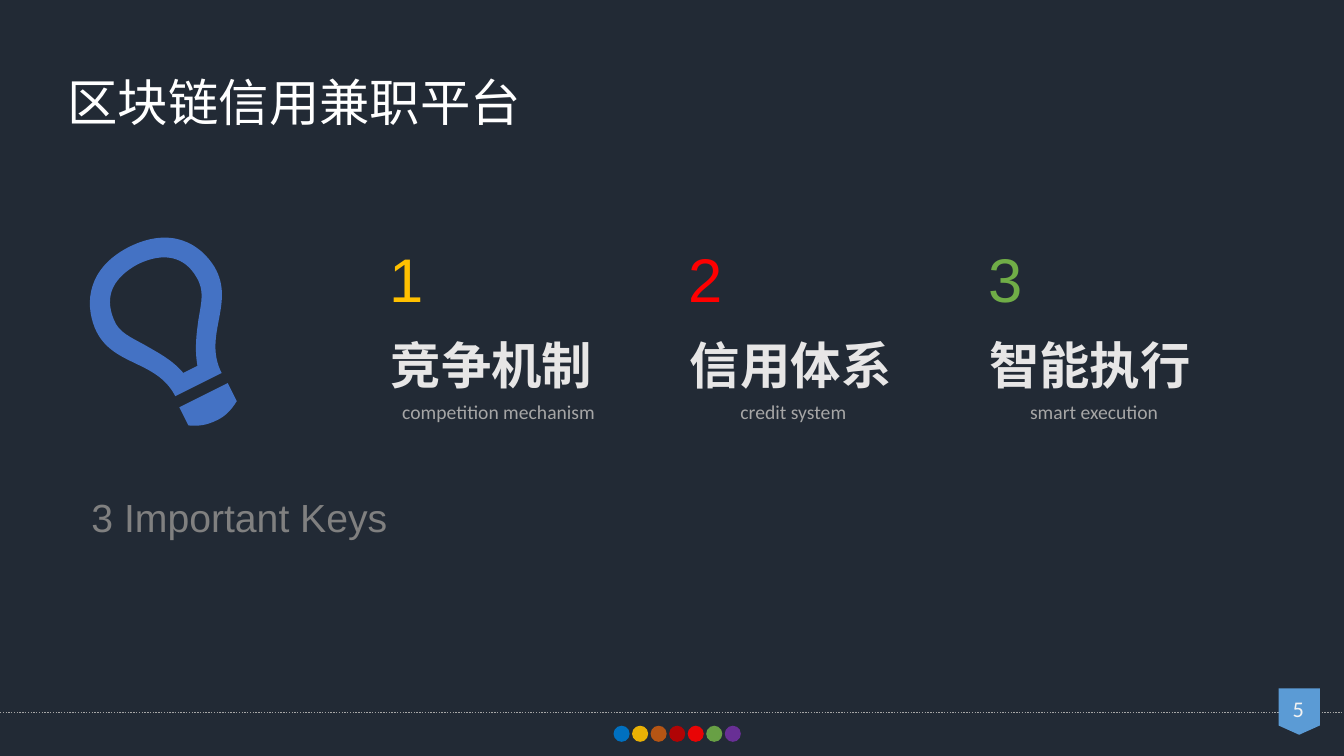
from dataclasses import dataclass
from itertools import chain

from lxml.etree import SubElement
from pptx import Presentation
from pptx.dml.color import RGBColor
from pptx.enum.dml import MSO_LINE
from pptx.enum.shapes import MSO_CONNECTOR, MSO_SHAPE
from pptx.enum.text import MSO_ANCHOR, MSO_AUTO_SIZE, PP_ALIGN
from pptx.oxml.ns import qn
from pptx.util import Inches, Pt


@dataclass(frozen=True)
class Theme:
    background: str = "222A35"
    title: str = "FFFFFF"
    heading: str = "E7E6E6"
    muted: str = "A6A6A6"
    caption: str = "808080"
    page: str = "F2F2F2"
    badge: str = "5B9BD5"
    bulb: str = "4472C4"
    keys: tuple = ("FFC000", "FF0000", "70AD47")
    dots: tuple = ("0070C0", "FFC000", "C55A11", "C00000", "FF0000", "70AD47", "7030A0")
    sans: str = "Calibri"
    display: str = "Arial"
    number_size: int = 44
    title_size: int = 36
    caption_size: int = 28
    page_size: int = 16
    label_size: int = 14


KEYS = [
    ("竞争机制", "competition mechanism", 2.34),
    ("信用体系", "credit system", 2.25),
    ("智能执行", "smart execution", 2.28),
]
KEY_LEFT, KEY_PITCH = 3.78, 2.97
DOT_LEFT, DOT_PITCH, DOT_SIZE = 6.09, 0.184, 0.16

BULB = [
    [(1.87, 4.22),
     (1.96, 4.23, 2.05, 4.22, 2.15, 4.17), (2.24, 4.13, 2.3, 4.06, 2.35, 3.98),
     (2.26, 3.8), (1.78, 4.04)],
    [(2.2, 3.7),
     (2.01, 3.33, 2.34, 3.01, 2.13, 2.65), (1.99, 2.42, 1.7, 2.24, 1.28, 2.45),
     (0.87, 2.66, 0.84, 3, 0.94, 3.25), (1.1, 3.64, 1.55, 3.56, 1.74, 3.93)],
    [(1.13, 3.17),
     (1.03, 2.93, 1.13, 2.75, 1.37, 2.62), (1.62, 2.5, 1.83, 2.54, 1.95, 2.75),
     (2.03, 2.88, 2, 2.99, 1.97, 3.17), (1.95, 3.31, 1.93, 3.46, 1.96, 3.63),
     (1.82, 3.7),
     (1.71, 3.57, 1.57, 3.5, 1.45, 3.43), (1.29, 3.34, 1.18, 3.3, 1.13, 3.17)],
]


def outline_points(outline):
    lengths = [Inches(v) for v in chain.from_iterable(outline)]
    return list(zip(lengths[::2], lengths[1::2]))


class SlideBuilder:
    def __init__(self, slide, theme):
        self.s = slide
        self.theme = theme
        fill = slide.background.fill
        fill.solid()
        fill.fore_color.rgb = RGBColor.from_string(theme.background)

    def paint(self, sp, color, alpha=100):
        sp.shadow.inherit = False
        sp.fill.solid()
        sp.fill.fore_color.rgb = RGBColor.from_string(color)
        sp.line.fill.background()
        if alpha < 100:
            clr = sp._element.spPr.find(qn("a:solidFill"))[0]
            SubElement(clr, qn("a:alpha"), val=str(alpha * 1000))

    def style(self, p, size, color, font=None, bold=False, align=PP_ALIGN.LEFT, spacing=None):
        p.alignment = align
        p.line_spacing = spacing
        p.font.name = font or self.theme.sans
        p.font.size = Pt(size)
        p.font.bold = bold
        p.font.color.rgb = RGBColor.from_string(color)

    def title(self, text, box):
        sp = self.s.shapes.title
        sp.left, sp.top, sp.width, sp.height = map(Inches, box)
        tf = sp.text_frame
        tf.text = text
        tf.auto_size = MSO_AUTO_SIZE.NONE
        tf.vertical_anchor = MSO_ANCHOR.TOP
        self.style(tf.paragraphs[0], self.theme.title_size, self.theme.title, spacing=1.5)

    def text(self, text, box, size, color, anchor=MSO_ANCHOR.TOP, **style):
        tf = self.s.shapes.add_textbox(*map(Inches, box)).text_frame
        tf.word_wrap = True
        tf.vertical_anchor = anchor
        p = tf.paragraphs[0]
        p.text = text
        self.style(p, size, color, **style)
        return tf

    def shape(self, kind, box, color, alpha=100, parent=None):
        sp = (parent or self.s).shapes.add_shape(kind, *map(Inches, box))
        self.paint(sp, color, alpha)

    def line(self, start, end, color):
        cx = self.s.shapes.add_connector(MSO_CONNECTOR.STRAIGHT, *map(Inches, start + end))
        cx.line.color.rgb = RGBColor.from_string(color)
        cx.line.width = Pt(1)
        cx.line.dash_style = MSO_LINE.ROUND_DOT
        SubElement(cx._element.spPr, qn("a:effectLst"))

    def freeform(self, outlines, color):
        first, *others = map(outline_points, outlines)
        fb = self.s.shapes.build_freeform(*first[0])
        fb.add_line_segments(first[1:])
        for points in others:
            fb.move_to(*points[0])
            fb.add_line_segments(points[1:])
        sp = fb.convert_to_shape()
        self.paint(sp, color)
        steps = iter(list(sp._element.iter(qn("a:lnTo"))))
        for segment in chain.from_iterable(outline[1:] for outline in outlines):
            step = next(steps)
            if len(segment) == 6:
                curve = SubElement(step.getparent(), qn("a:cubicBezTo"))
                step.addprevious(curve)
                for part in (step, next(steps), next(steps)):
                    curve.append(part[0])
                    part.getparent().remove(part)

    def key(self, index, heading, label, width):
        t = self.theme
        left = KEY_LEFT + index * KEY_PITCH
        self.text(str(index + 1), (left - 0.01, 2.34, 1.07, 0.5),
                  t.number_size, t.keys[index], font=t.display)
        tf = self.text(heading, (left, 3.27, width, 0.6), t.title_size, t.heading, bold=True)
        p = tf.add_paragraph()
        p.text = label
        p.space_before = Pt(3.5)
        self.style(p, t.label_size, t.muted, align=PP_ALIGN.CENTER)

    def dots(self):
        group = self.s.shapes.add_group_shape()
        for i, color in enumerate(self.theme.dots):
            box = (DOT_LEFT + i * DOT_PITCH, 7.2, DOT_SIZE, DOT_SIZE)
            self.shape(MSO_SHAPE.OVAL, box, color, 90 if i else 100, group)


def main():
    prs = Presentation()
    prs.slide_width, prs.slide_height = Inches(13.34), Inches(7.5)
    theme = Theme()
    page = SlideBuilder(prs.slides.add_slide(prs.slide_layouts[5]), theme)

    page.line((0, 7.07), (13.33, 7.07), theme.muted)
    page.shape(MSO_SHAPE.FLOWCHART_OFFPAGE_CONNECTOR, (12.69, 6.83, 0.41, 0.46), theme.badge)
    page.text("5", (12.59, 6.88, 0.59, 0.37), theme.page_size, theme.page,
              align=PP_ALIGN.CENTER, spacing=0.9)
    page.dots()
    page.title("区块链信用兼职平台", (0.57, 0.36, 6.6, 1))
    page.freeform(BULB, theme.bulb)
    page.text("3 Important Keys", (0.81, 4.81, 4.5, 0.64), theme.caption_size,
              theme.caption, anchor=MSO_ANCHOR.MIDDLE, font=theme.display)
    for i, key in enumerate(KEYS):
        page.key(i, *key)
    prs.save("out.pptx")


if __name__ == "__main__":
    main()
